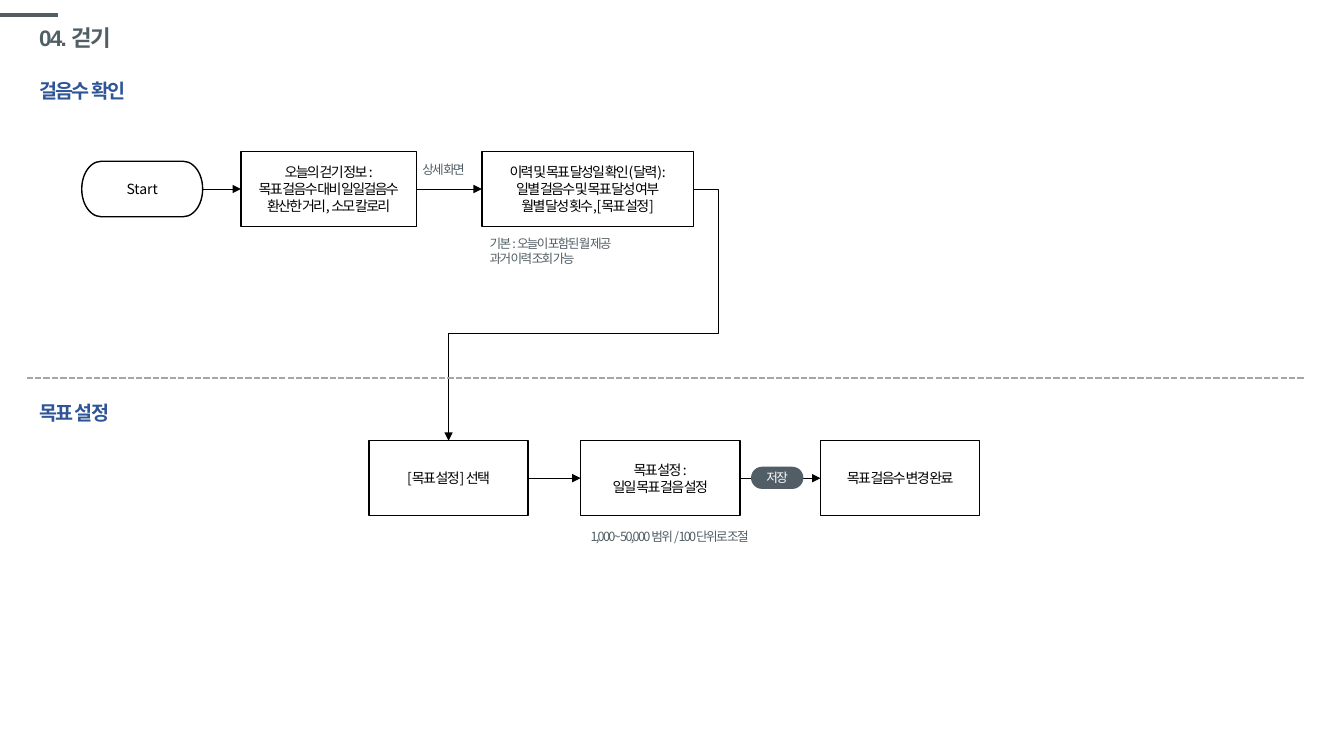
from collections import namedtuple

from lxml import etree
from pptx import Presentation
from pptx.dml.color import RGBColor
from pptx.enum.dml import MSO_LINE_DASH_STYLE as DASH
from pptx.enum.shapes import MSO_CONNECTOR as CONN, MSO_SHAPE as SHAPE
from pptx.enum.text import MSO_ANCHOR as ANCHOR, PP_ALIGN as ALIGN
from pptx.oxml.ns import qn
from pptx.util import Inches, Pt

COLORS = {"ink": "000000", "paper": "FFFFFF", "slate": "515E65",
          "blue": "2F5597", "gray": "A5A5A5"}
SANS = "Noto Sans CJK KR"
TIGHT = -120
TOP, LEFT, BOTTOM, RIGHT = range(4)

FORMATS = {
    "title": {"size": Pt(16), "bold": True, "name": "Arial"},
    "heading": {"size": Pt(14), "bold": True, "name": SANS},
    "step": {"size": Pt(10), "name": SANS},
    "note": {"size": Pt(9), "name": SANS},
}


class Box(namedtuple("Box", "x y w h")):
    def area(self, x, y, w, h):
        return Box(int(self.x + self.w * x / 100), int(self.y + self.h * y / 100),
                   int(self.w * w / 100), int(self.h * h / 100))

    def point(self, x, y):
        return self.area(x, y, 0, 0)[:2]


def rgb(name):
    return RGBColor.from_string(COLORS[name])


def write(s, lines, style, color, align=ALIGN.LEFT, anchor=ANCHOR.TOP,
          wrap=True, spacing=None, track=TIGHT):
    tf = s.text_frame
    for key, value in {"word_wrap": wrap, "vertical_anchor": anchor}.items():
        setattr(tf, key, value)
    for i, line in enumerate(lines):
        p = tf.paragraphs[0] if i == 0 else tf.add_paragraph()
        p.alignment, p.line_spacing = align, spacing
        r = p.add_run()
        r.text = line
        for key, value in FORMATS[style].items():
            setattr(r.font, key, value)
        r.font.color.rgb = rgb(color)
        rpr = r.font._element
        rpr.set("spc", str(track))
        etree.SubElement(rpr, qn("a:ea"), typeface=SANS)


def add_text(sl, box, lines, style, color, **options):
    write(sl.shapes.add_textbox(*box), lines, style, color, **options)


def add_node(sl, kind, box, lines, style="step", fill="paper", color="ink", **options):
    s = sl.shapes.add_shape(kind, *box)
    s.shadow.inherit = False
    s.fill.solid()
    s.fill.fore_color.rgb = rgb(fill)
    if fill == "paper":
        s.line.color.rgb = rgb("ink")
        s.line.width = Pt(1)
    else:
        s.line.fill.background()
    write(s, lines, style, color, align=ALIGN.CENTER, anchor=ANCHOR.MIDDLE, **options)
    return s


def add_line(sl, start, end, color="ink", width=0.5, kind=CONN.STRAIGHT,
             arrow=False, dash=None):
    c = sl.shapes.add_connector(kind, *start, *end)
    c.line.color.rgb = rgb(color)
    c.line.width = Pt(width)
    if dash:
        c.line.dash_style = dash
    if arrow:
        etree.SubElement(c.line._get_or_add_ln(), qn("a:tailEnd"), type="triangle")
    etree.SubElement(c._element.spPr, qn("a:effectLst"))
    return c


def link(sl, a, b, kind=CONN.STRAIGHT, side=LEFT):
    c = add_line(sl, (a.left, a.top), (b.left, b.top), kind=kind, arrow=True)
    c.begin_connect(a, RIGHT)
    c.end_connect(b, side)
    return c


def link_down(sl, a, b):
    c = link(sl, a, b, CONN.ELBOW, TOP)
    geom = c._element.spPr.find(qn("a:prstGeom"))
    geom.set("prst", "bentConnector4")
    guides = geom.find(qn("a:avLst"))
    if guides is None:
        guides = etree.SubElement(geom, qn("a:avLst"))
    for name, value in {"adj1": -10300, "adj2": 57500}.items():
        etree.SubElement(guides, qn("a:gd"), name=name, fmla=f"val {value}")


def add_heading(sl, box, y, text):
    add_text(sl, box.area(2.17, y, 11.17, 12), [text], "heading", "blue", spacing=1.5)


def add_header(sl, box):
    add_line(sl, box.point(0, 25), box.point(4.35, 25), "slate", 3)
    add_text(sl, box.area(2.17, 31.67, 86.25, 65), ["04. 걷기"], "title", "slate",
             anchor=ANCHOR.MIDDLE, spacing=0.9)


def add_check_flow(sl, box):
    mid, high = 50, 19.8
    steps = [
        (SHAPE.FLOWCHART_TERMINATOR, 6.08, 9, 14.67, ["Start"], 0),
        (SHAPE.FLOWCHART_PROCESS, 17.93, 13.05, high,
         ["오늘의 걷기 정보 :", "목표 걸음수 대비 일일걸음수", "환산한 거리, 소모 칼로리"], TIGHT),
        (SHAPE.FLOWCHART_PROCESS, 35.85, 15.75, high,
         ["이력 및 목표 달성일 확인(달력) :", "일별 걸음수 및 목표 달성 여부",
          "월별 달성 횟수, [목표 설정]"], TIGHT),
    ]
    nodes = [add_node(sl, kind, box.area(x, mid - h / 2, w, h), lines, wrap=False, track=track)
             for kind, x, w, h, lines, track in steps]
    for a, b in zip(nodes, nodes[1:]):
        link(sl, a, b)
    add_heading(sl, box, 16.53, "걸음수 확인")
    add_text(sl, box.area(30.68, 41.6, 5.1, 6.67), ["상세 화면"], "note", "slate")
    add_text(sl, box.area(35.7, 61.07, 13.95, 10.67),
             ["기본 : 오늘이 포함된 월 제공", "과거 이력 조회 가능"], "note", "slate")
    return nodes[-1]


def add_goal_flow(sl, box):
    mid, wide, high = 26.5, 11.85, 19.8
    steps = [(27.45, ["[목표 설정] 선택"]),
             (43.2, ["목표 설정 :", "일일 목표 걸음 설정"]),
             (61.05, ["목표 걸음수 변경 완료"])]
    nodes = [add_node(sl, SHAPE.FLOWCHART_PROCESS, box.area(x, mid - high / 2, wide, high),
                      lines, wrap=False) for x, lines in steps]
    for a, b in zip(nodes, nodes[1:]):
        link(sl, a, b)
    add_heading(sl, box, 1.6, "목표 설정")
    add_text(sl, box.area(43.2, 38.67, 13.95, 6.67),
             ["1,000~ 50,000 범위 / 100단위로 조절"], "note", "slate")
    save = add_node(sl, SHAPE.ROUNDED_RECTANGLE, box.area(55.88, 23.47, 3.9, 5.87),
                    ["저장"], "note", "slate", "paper")
    save.adjustments[0] = 0.5
    return nodes[0]


def main():
    prs = Presentation()
    prs.slide_width, prs.slide_height = Inches(13.33), Inches(7.5)
    sl = prs.slides.add_slide(prs.slide_layouts[6])
    page = Box(0, 0, prs.slide_width, prs.slide_height)
    add_header(sl, page.area(0, 0, 100, 8))
    history = add_check_flow(sl, page.area(0, 0, 100, 50))
    choice = add_goal_flow(sl, page.area(0, 50, 100, 50))
    link_down(sl, history, choice)
    add_line(sl, page.point(97, 50), page.point(1.9, 50), "gray", 1.5, dash=DASH.SQUARE_DOT)
    prs.save("out.pptx")


if __name__ == "__main__":
    main()
